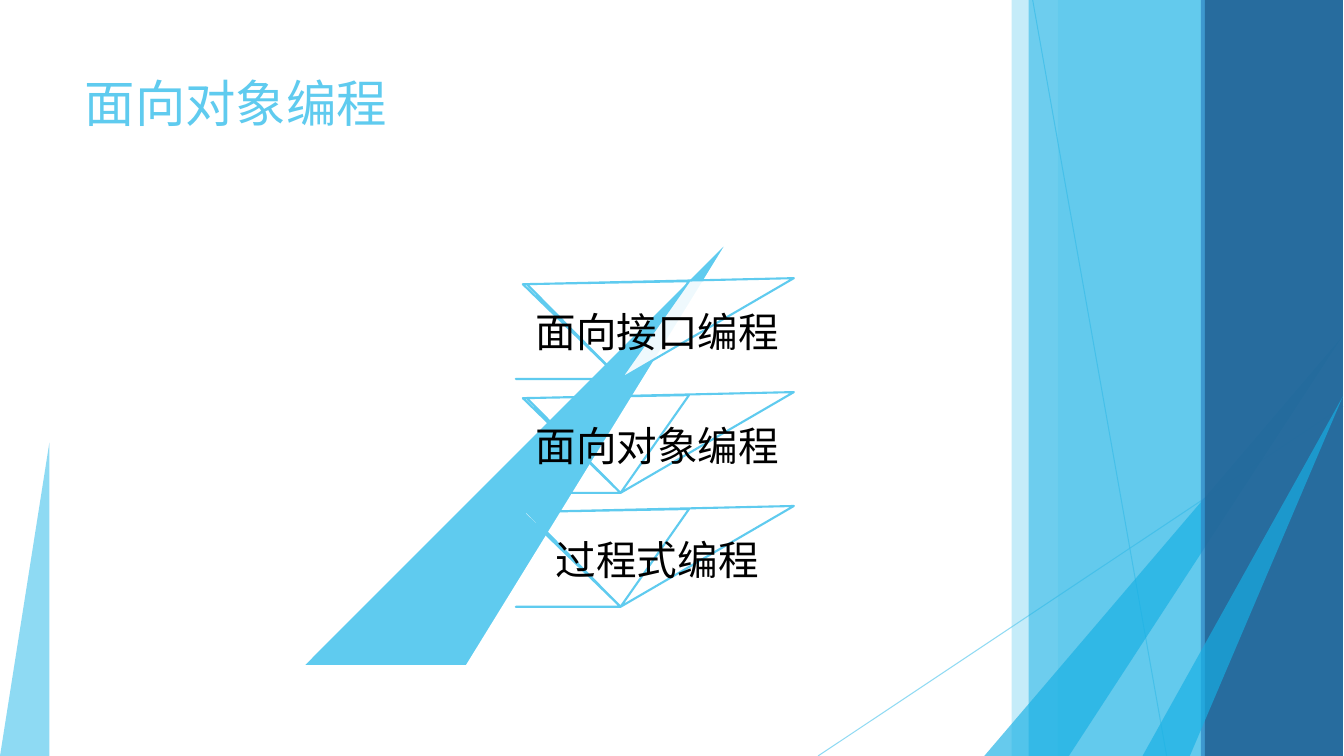
import pptx
import pptx.dml.color
import pptx.enum.shapes
import pptx.enum.text
import pptx.oxml
import pptx.oxml.ns
import pptx.util

RGBColor = pptx.dml.color.RGBColor
SKY = RGBColor(0x5F, 0xCB, 0xEF)
CYAN = RGBColor(0x17, 0xB0, 0xE4)
BLUE = RGBColor(0x2E, 0x83, 0xC3)
NAVY = RGBColor(0x22, 0x62, 0x92)
WHITE = RGBColor(0xFF, 0xFF, 0xFF)
BLACK = RGBColor(0x00, 0x00, 0x00)

FONT = "Lato"
SCALE = 9144  # EMU per px, 100 px to the inch
WIDTH, HEIGHT = 1334, 750
EDGE = 1333  # right end of the decoration


def px(length):
    return pptx.util.Emu(length * SCALE)


def set_opacity(color_format_parent, percent):
    """Add an alpha value to the solid colour below an element."""
    color = color_format_parent.find(".//" + pptx.oxml.ns.qn("a:srgbClr"))
    alpha = pptx.oxml.parse_xml(
        f'<a:alpha {pptx.oxml.ns.nsdecls("a")} val="{percent * 1000}"/>')
    color.append(alpha)


def write_text(frame, text, size, color, align, anchor, line_spacing=None, space_after=None):
    frame.word_wrap = True
    frame.auto_size = pptx.enum.text.MSO_AUTO_SIZE.NONE
    frame.vertical_anchor = anchor
    para = frame.paragraphs[0]
    para.alignment = align
    para.line_spacing = line_spacing
    if space_after is not None:
        para.space_after = pptx.util.Pt(space_after)
    span = para.add_run()
    span.text = text
    span.font.name = FONT
    span.font.size = pptx.util.Pt(size)
    span.font.color.rgb = color


class SlideBuilder:
    def __init__(self, deck):
        self.page = deck.slides.add_slide(deck.slide_layouts[5])
        self.shapes = self.page.shapes

    def title(self, text, left, top, width, height):
        box = self.shapes.title
        box.left, box.top, box.width, box.height = map(px, (left, top, width, height))
        write_text(box.text_frame, text, 36, SKY,
                   pptx.enum.text.PP_ALIGN.LEFT, pptx.enum.text.MSO_ANCHOR.TOP)

    def paint(self, shape, fill, opacity=100, line=None):
        shape.shadow.inherit = False
        shape.fill.solid()
        shape.fill.fore_color.rgb = fill
        if opacity < 100:
            set_opacity(shape.fill._xPr, opacity)
        if line is None:
            shape.line.fill.background()
        else:
            shape.line.color.rgb = line
            shape.line.width = pptx.util.Pt(1.5)
        return shape

    def band(self, left, fill, opacity):
        shape = self.shapes.add_shape(pptx.enum.shapes.MSO_SHAPE.RECTANGLE,
                                      px(left), px(-1), px(EDGE - left), px(751))
        return self.paint(shape, fill, opacity)

    def polygon(self, points, fill, opacity=100, line=None):
        builder = self.shapes.build_freeform(*points[0], scale=SCALE)
        builder.add_line_segments(points[1:], close=True)
        return self.paint(builder.convert_to_shape(), fill, opacity, line)

    def ray(self, start, end):
        line = self.shapes.add_connector(pptx.enum.shapes.MSO_CONNECTOR.STRAIGHT,
                                         *map(px, start + end))
        line.line.color.rgb = SKY
        line.line.width = pptx.util.Pt(0.75)
        properties = line._element.spPr
        set_opacity(properties, 70)
        properties.append(pptx.oxml.parse_xml(
            f'<a:effectLst {pptx.oxml.ns.nsdecls("a")}/>'))

    def label(self, text, top):
        outline = [(512, 100), (616, 100), (519, 6), (684, 3),
                   (616, 100), (523, 6), (788, 0), (616, 100)]
        shape = self.polygon([(x, top + y) for x, y in outline], WHITE, 90, SKY)
        frame = shape.text_frame
        frame.margin_left, frame.margin_top = px(17), px(23)
        frame.margin_right = frame.margin_bottom = px(12)
        write_text(frame, text, 29, BLACK, pptx.enum.text.PP_ALIGN.CENTER,
                   pptx.enum.text.MSO_ANCHOR.MIDDLE, line_spacing=0.9, space_after=10.1)


def main():
    deck = pptx.Presentation()
    deck.slide_width, deck.slide_height = px(WIDTH), px(HEIGHT)
    slide = SlideBuilder(deck)

    # Background decoration, from back to front
    slide.ray((1025, 0), (1158, HEIGHT))
    slide.ray((EDGE, 403), (812, HEIGHT))
    slide.band(1004, SKY, 36)
    slide.band(1050, SKY, 20)
    slide.polygon([(977, HEIGHT), (EDGE, 333), (1061, HEIGHT)], CYAN, 66)
    slide.band(1021, CYAN, 50)
    slide.band(1192, BLUE, 70)
    slide.band(1196, NAVY, 80)
    slide.polygon([(1134, HEIGHT), (EDGE, 393), (1181, HEIGHT)], CYAN, 66)
    slide.polygon([(0, HEIGHT), (49, 439), (49, HEIGHT)], SKY, 70)

    # Title
    slide.title("面向对象编程", 74, 67, 940, 144)

    # Pyramid with its levels
    slide.polygon([(300, 661), (725, 236), (463, 661)], SKY, line=WHITE)
    for level, text in enumerate(("面向接口编程", "面向对象编程", "过程式编程")):
        slide.label(text, 276 + 113 * level)

    deck.save("out.pptx")


if __name__ == "__main__":
    main()
